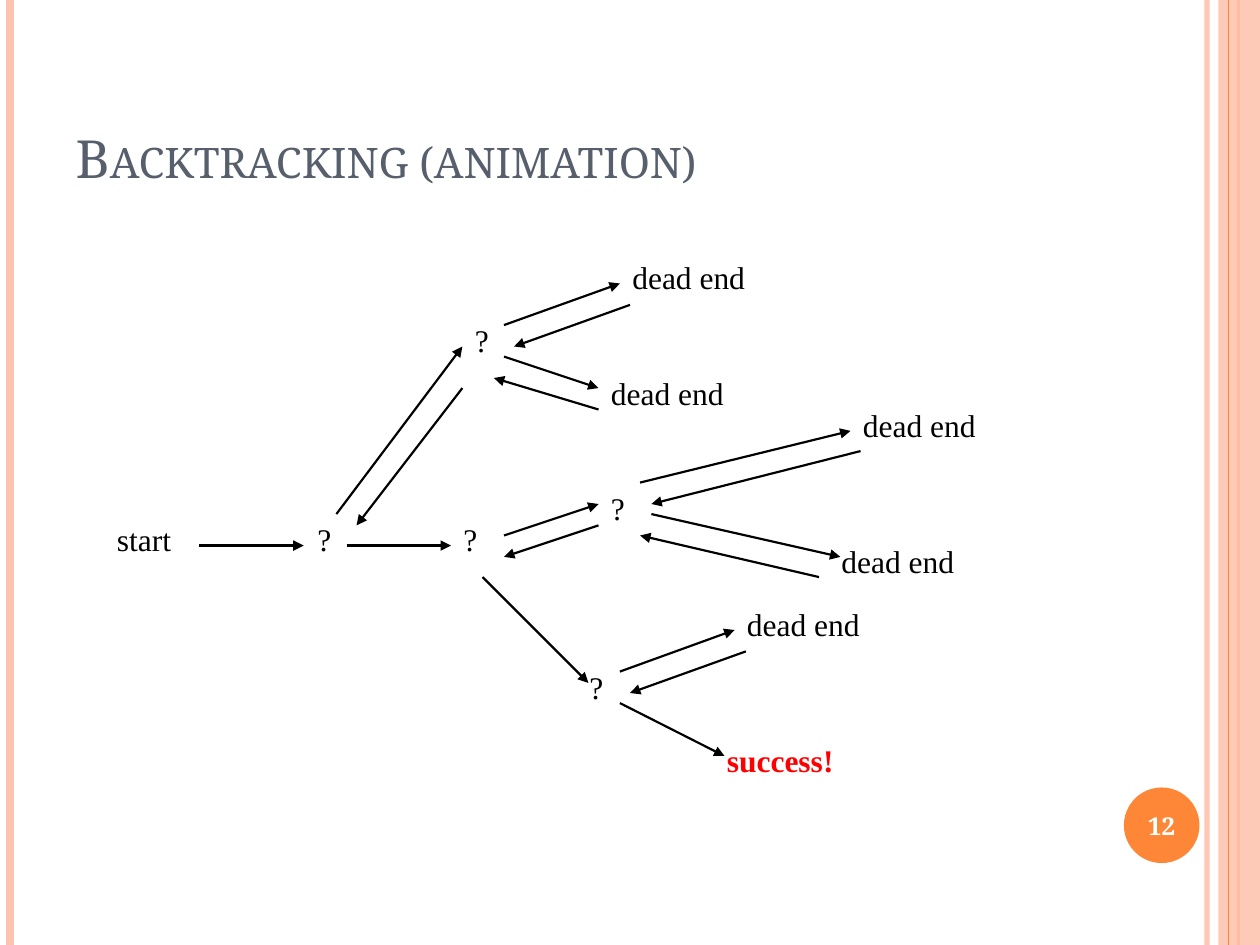
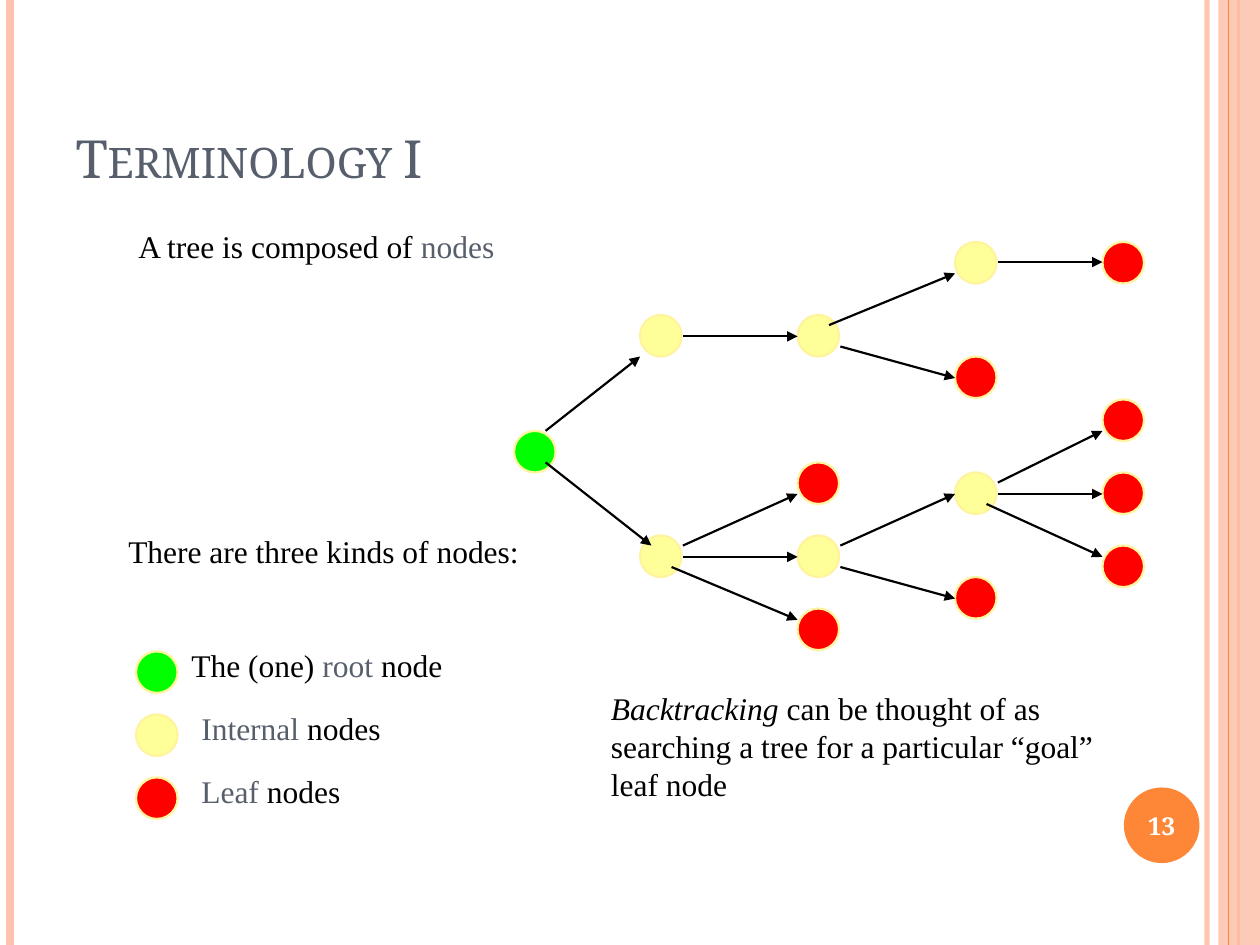
from lxml.etree import SubElement
from pptx import Presentation
from pptx.dml.color import RGBColor
from pptx.enum.shapes import MSO_CONNECTOR, MSO_SHAPE
from pptx.enum.text import MSO_ANCHOR, MSO_AUTO_SIZE, PP_ALIGN
from pptx.oxml.ns import qn
from pptx.util import Inches, Pt

COLORS = {
    "band": "FEC3AE", "accent": "FE8637", "title": "575F6D",
    "white": "FFFFFF", "black": "000000", "success": "FF0000",
    "root": "00FF00", "internal": "FFFF99", "leaf": "FF0000",
    "outline": "FFF39D",
}
TITLE_FONT = "Noto Serif"
BODY_FONT = "Times New Roman"
NODE_SIZE = 0.33


class Deck:
    """Holds the shared style and the current slide."""

    def __init__(self):
        self.prs = Presentation()
        self.prs.slide_width = Inches(10)
        self.prs.slide_height = Inches(7.5)
        self.s = None

    def rgb(self, name):
        return RGBColor.from_string(COLORS[name])

    def style(self, font, size, color, name=BODY_FONT, bold=False):
        font.name = name
        font.size = Pt(size)
        font.bold = bold
        font.color.rgb = self.rgb(color)

    def opacity(self, sp, percent):
        color = next(sp._element.spPr.iter(qn("a:srgbClr")))
        SubElement(color, qn("a:alpha"), val=str(percent * 1000))

    def slide(self, title, number):
        self.s = self.prs.slides.add_slide(self.prs.slide_layouts[5])
        self.bands()
        self.badge(number)

        # Title in small capitals
        sp = self.s.shapes.title
        sp.left, sp.top = Inches(0.5), Inches(0.3)
        sp.width, sp.height = Inches(8.17), Inches(1.25)
        tf = sp.text_frame
        tf.auto_size = MSO_AUTO_SIZE.NONE
        tf.vertical_anchor = MSO_ANCHOR.BOTTOM
        p = tf.paragraphs[0]
        p.alignment = PP_ALIGN.LEFT
        r = p.add_run()
        r.text = title
        self.style(r.font, 30, "title", TITLE_FONT)
        r._r.get_or_add_rPr().set("cap", "small")

    def bands(self):
        edge = self.line((9.58, 0), (9.58, 7.5), "band", 3)
        self.opacity(edge, 93)
        self.line((0.08, 0), (0.08, 7.5), "band", 4.5)
        self.line((9.83, 0), (9.83, 7.5), "accent", 1.5)
        band = self.shape(MSO_SHAPE.RECTANGLE, 9.67, 0, 0.33, 7.5, "band")
        self.opacity(band, 87)
        self.line((9.75, 0), (9.75, 7.5), "accent", 0.75)

    def badge(self, number):
        sp = self.shape(MSO_SHAPE.OVAL, 8.92, 6.25, 0.6, 0.6, "accent")
        tf = sp.text_frame
        tf.margin_left = tf.margin_right = 0
        tf.vertical_anchor = MSO_ANCHOR.MIDDLE
        p = tf.paragraphs[0]
        p.text = str(number)
        p.alignment = PP_ALIGN.CENTER
        self.style(p.font, 14, "white", TITLE_FONT, bold=True)

    def shape(self, kind, x, y, w, h, fill, outline=None):
        sp = self.s.shapes.add_shape(
            kind, Inches(x), Inches(y), Inches(w), Inches(h))
        sp.shadow.inherit = False
        sp.fill.solid()
        sp.fill.fore_color.rgb = self.rgb(fill)
        if outline:
            sp.line.color.rgb = self.rgb(outline)
            sp.line.width = Pt(1.25)
        else:
            sp.line.fill.background()
        return sp

    def node(self, kind, x, y):
        self.shape(MSO_SHAPE.OVAL, x, y, NODE_SIZE, NODE_SIZE, kind, "outline")

    def line(self, start, end, color="black", width=1.25):
        sp = self.s.shapes.add_connector(
            MSO_CONNECTOR.STRAIGHT, *map(Inches, start + end))
        sp.line.color.rgb = self.rgb(color)
        sp.line.width = Pt(width)
        SubElement(sp._element.spPr, qn("a:effectLst"))
        return sp

    def arrow(self, start, end):
        sp = self.line(start, end)
        SubElement(sp.line._get_or_add_ln(), qn("a:tailEnd"), type="triangle")

    def text(self, x, y, w, h, *runs, bold=False):
        """Each run is (text, colour) or (text, colour, italic)."""
        sp = self.s.shapes.add_textbox(
            Inches(x), Inches(y), Inches(w), Inches(h))
        tf = sp.text_frame
        tf.word_wrap = True
        tf.auto_size = MSO_AUTO_SIZE.SHAPE_TO_FIT_TEXT
        p = tf.paragraphs[0]
        for words, color, *italic in runs:
            r = p.add_run()
            r.text = words
            self.style(r.font, 18, color, bold=bold)
            r.font.italic = bool(italic and italic[0])


def backtracking_slide(deck):
    deck.slide("Backtracking (animation)", 12)

    # Start, choice points and outcomes
    deck.text(0.83, 4.08, 0.83, 0.5, ("start", "black"))
    choices = [(2.42, 4.08), (3.67, 2.5), (3.58, 4.08), (4.75, 3.83),
               (4.58, 5.25)]
    for x, y in choices:
        deck.text(x, y, 0.5, 0.5, ("?", "black"))
    dead_ends = [(4.92, 2), (4.75, 2.92), (6.75, 3.17), (6.58, 4.25),
                 (5.83, 4.75)]
    for x, y in dead_ends:
        deck.text(x, y, 1.75, 0.5, ("dead end", "black"))
    deck.text(5.67, 5.83, 1.75, 0.5, ("success!", "success"), bold=True)

    # Steps forward
    forward = [
        ((1.58, 4.33), (2.41, 4.33)), ((2.67, 4.08), (3.67, 2.75)),
        ((2.75, 4.33), (3.58, 4.33)), ((4, 2.58), (4.92, 2.25)),
        ((4, 2.83), (4.75, 3.08)), ((4, 4.25), (4.75, 4)),
        ((5.08, 3.83), (6.75, 3.42)), ((5.17, 4.08), (6.67, 4.42)),
        ((3.83, 4.58), (4.67, 5.42)), ((4.92, 5.33), (5.83, 5)),
        ((4.92, 5.58), (5.75, 6)),
    ]
    # Steps back from dead ends
    back = [
        ((5, 2.42), (4.08, 2.75)), ((4.75, 3.25), (3.92, 3)),
        ((3.67, 3.08), (2.83, 4.17)), ((6.83, 3.58), (5.17, 4)),
        ((6.5, 4.58), (5.08, 4.25)), ((4.75, 4.17), (4, 4.42)),
        ((5.92, 5.17), (5, 5.5)),
    ]
    for start, end in forward + back:
        deck.arrow(start, end)


def terminology_slide(deck):
    deck.slide("Terminology I", 13)

    # Tree nodes, one column per level: x -> kind -> tops
    levels = {
        4.08: {"root": [3.42]},
        5.08: {"internal": [2.5, 4.25]},
        6.33: {"internal": [2.5, 4.25], "leaf": [3.67, 4.83]},
        7.58: {"internal": [1.92, 3.75], "leaf": [2.83, 4.58]},
        8.75: {"leaf": [1.92, 3.17, 3.75, 4.33]},
    }
    for x, kinds in levels.items():
        for kind, tops in kinds.items():
            for y in tops:
                deck.node(kind, x, y)

    # Tree branches
    branches = [
        ((4.33, 3.67), (5.17, 4.33)), ((4.33, 3.42), (5.08, 2.83)),
        ((5.42, 2.67), (6.33, 2.67)), ((6.58, 2.58), (7.58, 2.17)),
        ((6.67, 2.75), (7.58, 3)), ((7.92, 2.08), (8.75, 2.08)),
        ((5.42, 4.33), (6.33, 3.92)), ((5.42, 4.42), (6.33, 4.42)),
        ((5.33, 4.5), (6.33, 4.92)), ((6.67, 4.33), (7.58, 3.92)),
        ((6.67, 4.5), (7.58, 4.75)), ((7.92, 3.83), (8.75, 3.42)),
        ((7.92, 3.92), (8.75, 3.92)), ((7.83, 4), (8.75, 4.42)),
    ]
    for start, end in branches:
        deck.arrow(start, end)

    # Statements
    deck.text(1, 1.75, 4.17, 1.1,
              ("A tree is composed of ", "black"), ("nodes", "title"))
    deck.text(0.92, 4.17, 3.5, 0.9,
              ("There are three kinds of nodes:", "black"))
    deck.text(4.75, 5.42, 4.42, 1.3, ("Backtracking", "black", True),
              (" can be thought of as searching a tree for a particular "
               "“goal” leaf node", "black"))

    # Legend
    legend = [
        ("root", 1.42, 4.08, [("The (one) ", "black"), ("root", "title"),
                              (" node", "black")]),
        ("internal", 1.5, 4.17, [("Internal", "title"), (" nodes", "black")]),
        ("leaf", 1.5, 2.58, [("Leaf", "title"), (" nodes", "black")]),
    ]
    for i, (kind, x, w, runs) in enumerate(legend):
        y = 5.08 + 0.5 * i
        deck.node(kind, 1.08, y + 0.09)
        deck.text(x, y, w, 0.5, *runs)


def main():
    deck = Deck()
    backtracking_slide(deck)
    terminology_slide(deck)
    deck.prs.save("out.pptx")


if __name__ == "__main__":
    main()
